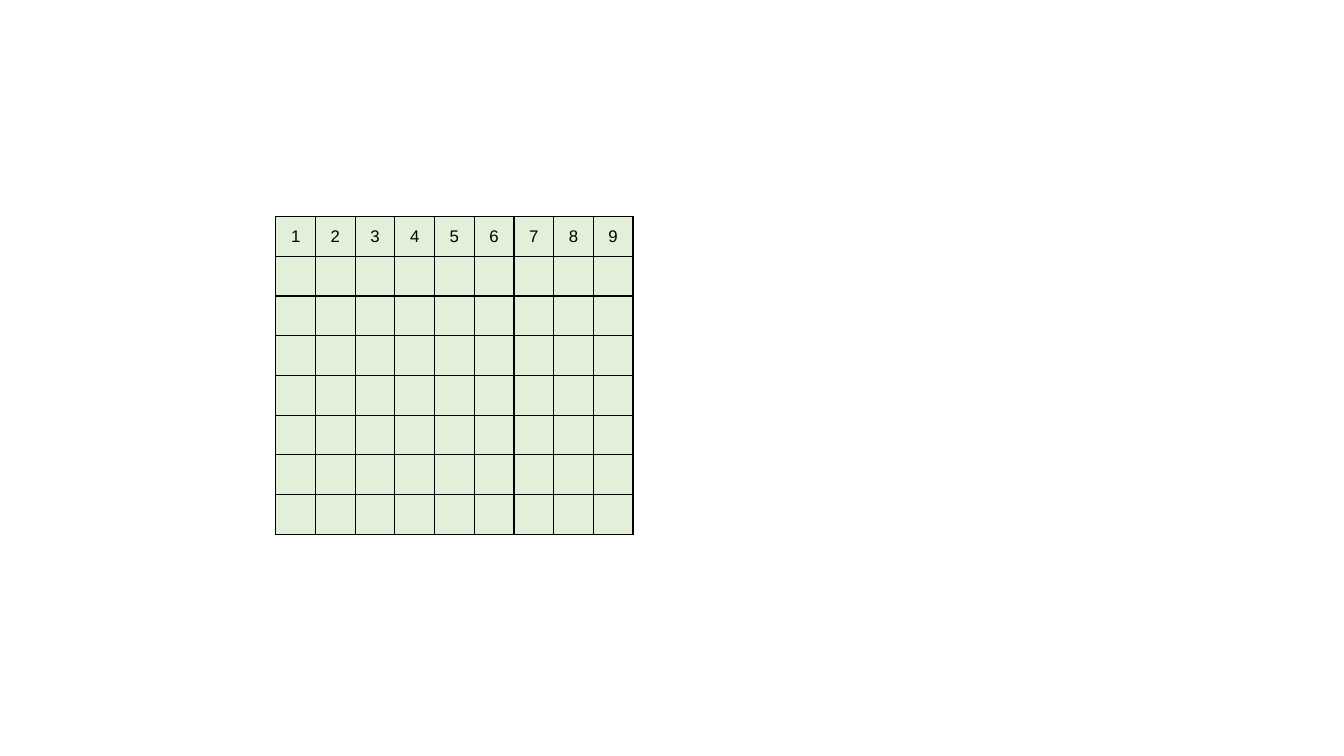
from lxml.etree import SubElement
from pptx import Presentation
from pptx.dml.color import RGBColor
from pptx.enum.text import MSO_ANCHOR, PP_ALIGN
from pptx.oxml.ns import qn
from pptx.util import Pt

BLACK = RGBColor(0x00, 0x00, 0x00)
PALE_GREEN = RGBColor(0xE2, 0xF0, 0xD9)
ROWS, COLUMNS = 8, 9
CELL_SIZE = 28.35
BORDER_WIDTH = Pt(1)


def add_borders(cell):
    properties = cell._tc.get_or_add_tcPr()
    for side in ("a:lnL", "a:lnR", "a:lnT", "a:lnB"):
        line = SubElement(properties, qn(side), w=str(BORDER_WIDTH))
        fill = SubElement(line, qn("a:solidFill"))
        SubElement(fill, qn("a:srgbClr"), val=str(BLACK))


presentation = Presentation()
presentation.slide_width = Pt(960)
presentation.slide_height = Pt(540)
slide = presentation.slides.add_slide(presentation.slide_layouts[6])

grid_shape = slide.shapes.add_table(
    ROWS, COLUMNS, Pt(197), Pt(154.8), Pt(COLUMNS * CELL_SIZE), Pt(ROWS * CELL_SIZE)
)
grid = grid_shape.table
grid.first_row = False
grid.horz_banding = False
for column in grid.columns:
    column.width = Pt(CELL_SIZE)
for row in grid.rows:
    row.height = Pt(CELL_SIZE)

for cell in grid.iter_cells():
    add_borders(cell)
    cell.fill.solid()
    cell.fill.fore_color.rgb = PALE_GREEN
    cell.margin_left = cell.margin_right = cell.margin_top = cell.margin_bottom = 0
    cell.vertical_anchor = MSO_ANCHOR.MIDDLE

for number, cell in enumerate(grid.rows[0].cells, start=1):
    cell.text_frame.text = str(number)
    paragraph = cell.text_frame.paragraphs[0]
    paragraph.alignment = PP_ALIGN.CENTER
    font = paragraph.runs[0].font
    font.name = "Arial"
    font.size = Pt(12)
    font.color.rgb = BLACK

presentation.save("out.pptx")
